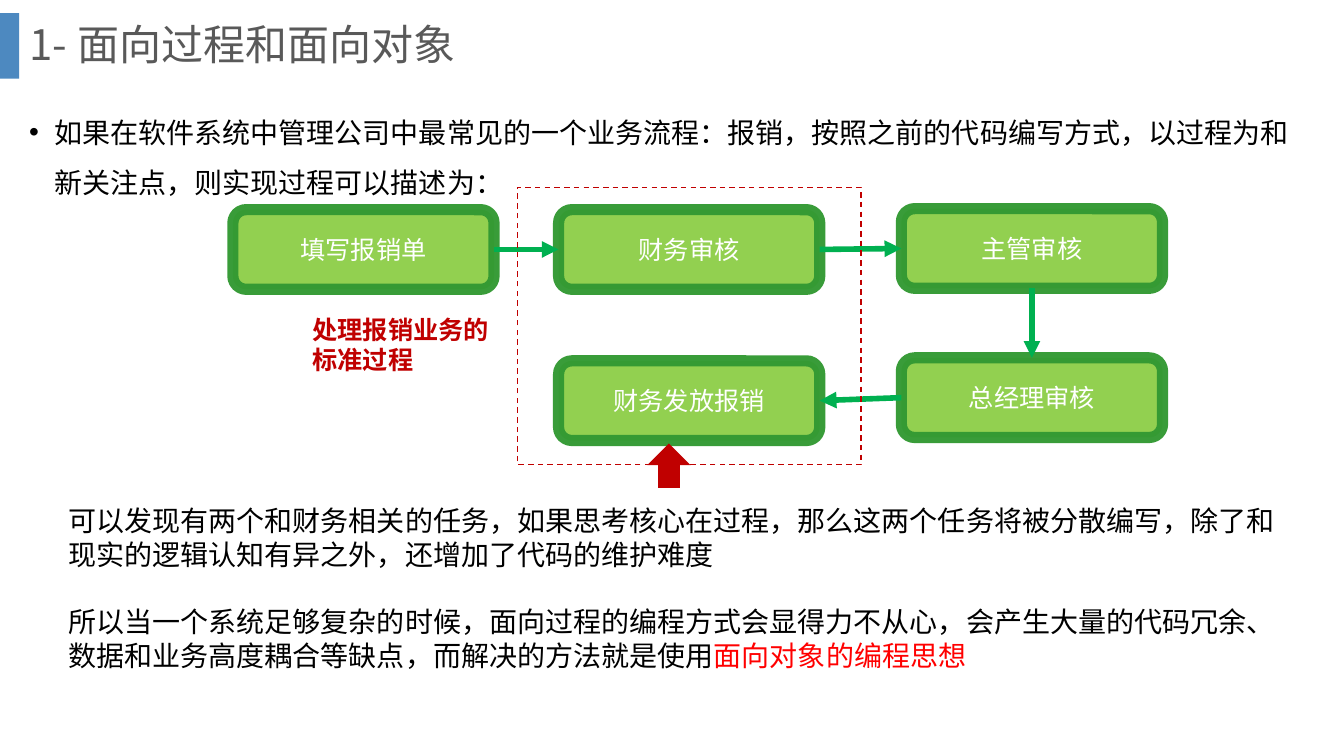
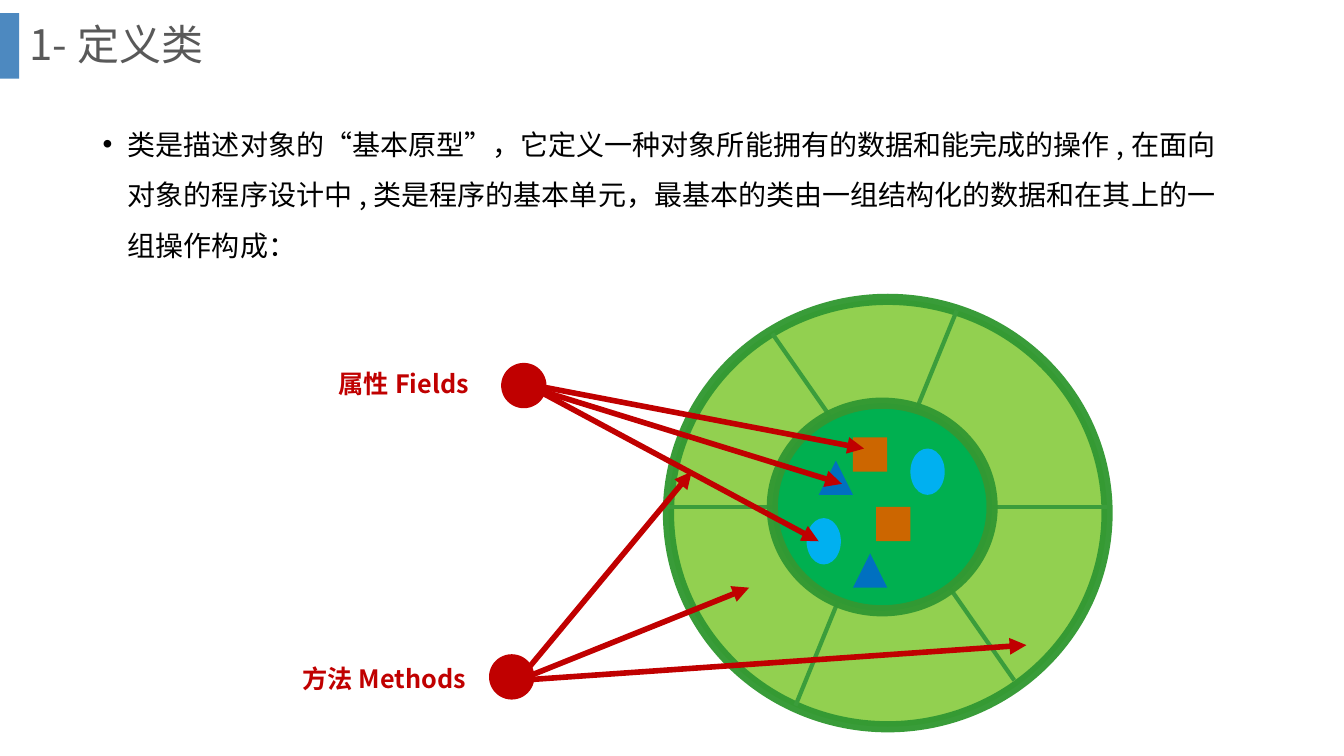
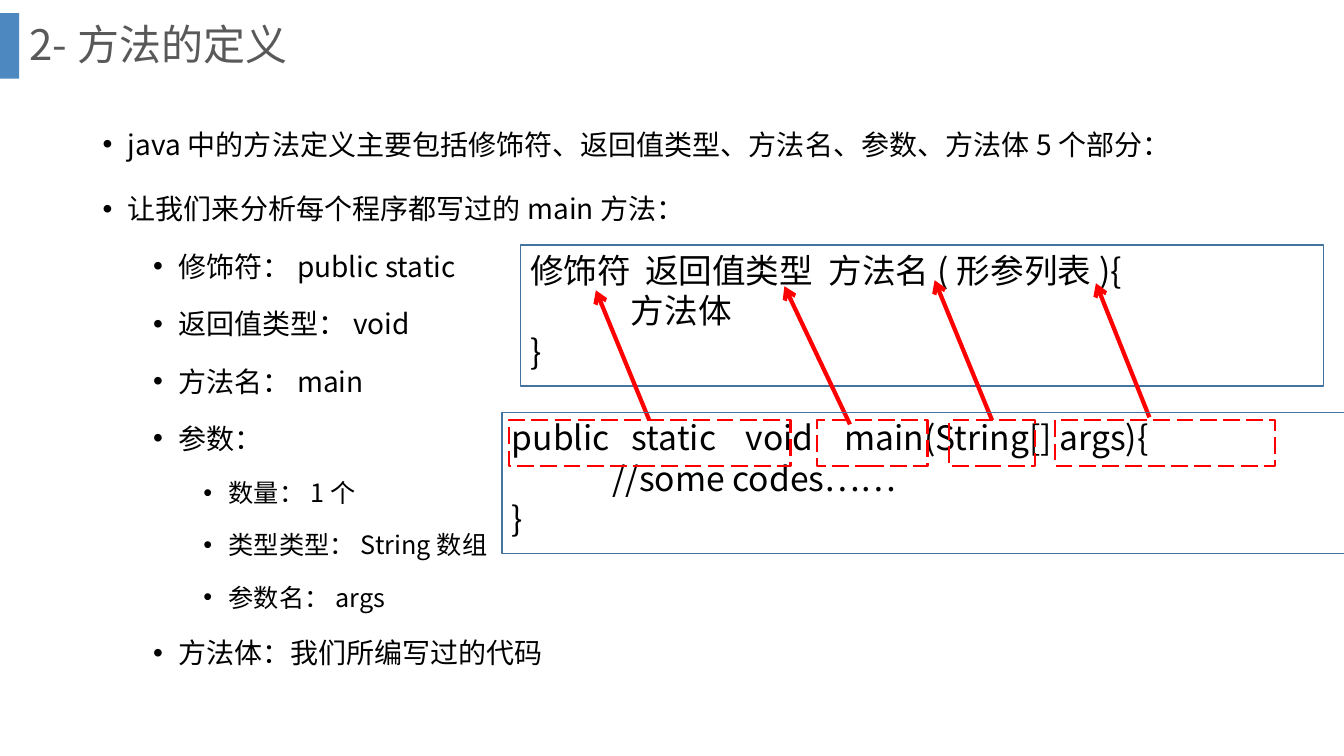
from lxml import etree
from pptx import Presentation
from pptx.dml.color import RGBColor
from pptx.enum.dml import MSO_LINE
from pptx.enum.shapes import MSO_CONNECTOR, MSO_SHAPE
from pptx.enum.text import MSO_ANCHOR, PP_ALIGN
from pptx.oxml.ns import qn
from pptx.util import Inches, Pt

RECT, ROUND, OVAL = MSO_SHAPE.RECTANGLE, MSO_SHAPE.ROUNDED_RECTANGLE, MSO_SHAPE.OVAL
TRIANGLE, UP_ARROW = MSO_SHAPE.ISOSCELES_TRIANGLE, MSO_SHAPE.UP_ARROW
STRAIGHT = MSO_CONNECTOR.STRAIGHT
DASH, LONG_DASH = MSO_LINE.DASH, MSO_LINE.LONG_DASH
TOP, MIDDLE = MSO_ANCHOR.TOP, MSO_ANCHOR.MIDDLE
LEFT, CENTER = PP_ALIGN.LEFT, PP_ALIGN.CENTER
SITE_TOP, SITE_LEFT, SITE_BOTTOM, SITE_RIGHT = range(4)

FONT = "Noto Sans CJK SC"
BLACK, WHITE, GREY, BLUE = "000000", "FFFFFF", "595959", "2E75B6"
DARK_RED, RED, BOX_BLUE = "C00000", "FF0000", "43739E"
LIME, GREEN, RIM, SPOKE = "92D050", "00B050", "339933", "3B9D3B"
ORANGE, SKY, NAVY = "CC6600", "00B0F0", "0070C0"
RIM_LINE = {"line": RIM, "width": 8, "line_alpha": 96}


def rgb(value):
    """Turn a hex string into a colour."""
    return RGBColor.from_string(value)


def sub(parent, tag, **attrs):
    """Append an XML child with attributes."""
    el = etree.SubElement(parent, qn(tag))
    for key, value in attrs.items():
        el.set(key, str(value))
    return el


def set_alpha(el, percent):
    """Set the opacity of the first colour inside an element."""
    sub(next(el.iter(qn("a:srgbClr"))), "a:alpha", val=percent * 1000)


def add_run(p, text, size, color=BLACK, bold=False):
    """Add a formatted run to a paragraph."""
    r = p.add_run()
    r.text = text
    fmt = {"name": FONT, "size": Pt(size), "bold": bold}
    for key, value in fmt.items():
        setattr(r.font, key, value)
    r.font.color.rgb = rgb(color)
    sub(r.font._element, "a:ea", typeface=FONT)


def next_paragraph(tf, first, **fmt):
    """Return a formatted paragraph, reusing the first one of the frame."""
    p = tf.paragraphs[0] if first else tf.add_paragraph()
    for key, value in fmt.items():
        setattr(p, key, value)
    return p


def add_text(s, x, y, w, h, wrap=True, anchor=TOP):
    """Add an empty text box and return its frame."""
    tf = s.shapes.add_textbox(Inches(x), Inches(y), Inches(w), Inches(h)).text_frame
    for key, value in {"word_wrap": wrap, "vertical_anchor": anchor}.items():
        setattr(tf, key, value)
    return tf


def add_shape(s, kind, x, y, w, h, fill=None, line=None, width=1, dash=None, line_alpha=None):
    """Add a preset shape with optional fill and outline."""
    sp = s.shapes.add_shape(kind, Inches(x), Inches(y), Inches(w), Inches(h))
    sp.shadow.inherit = False
    if fill:
        sp.fill.solid()
        sp.fill.fore_color.rgb = rgb(fill)
    else:
        sp.fill.background()
    if line:
        sp.line.color.rgb = rgb(line)
        sp.line.width = Pt(width)
        if dash:
            sp.line.dash_style = dash
        if line_alpha:
            set_alpha(sp.line._get_or_add_ln(), line_alpha)
    else:
        sp.line.fill.background()
    return sp


def add_line(s, start, end, color, width, head=None):
    """Add a straight line, with an arrowhead at its end if named."""
    c = s.shapes.add_connector(STRAIGHT, *[Inches(v) for v in (*start, *end)])
    c.line.color.rgb = rgb(color)
    c.line.width = Pt(width)
    if head:
        sub(c.line._get_or_add_ln(), "a:tailEnd", type=head)
    sub(c._element.spPr, "a:effectLst")
    return c


def add_slide(prs, title):
    """Add a blank slide with the blue tab and the title."""
    s = prs.slides.add_slide(prs.slide_layouts[6])
    tab = add_shape(s, RECT, 0, 0.13, 0.19, 0.65, BLUE)
    set_alpha(tab._element.spPr, 85)
    tf = add_text(s, 0.19, 0, 12.66, 0.93, anchor=MIDDLE)
    add_run(next_paragraph(tf, True, line_spacing=0.9), title, 30, GREY)
    return s


def add_bullets(s, x, y, w, h, items):
    """Add a bulleted list of (level, text) items."""
    tf = add_text(s, x, y, w, h)
    for i, (level, text) in enumerate(items):
        p = next_paragraph(tf, i == 0, line_spacing=1.5, space_before=Pt(5 if level else 10))
        pPr = p._p.get_or_add_pPr()
        pPr.set("marL", str(Inches(0.25 + 0.5 * level)))
        pPr.set("indent", str(Inches(-0.25)))
        sub(pPr, "a:buFont", typeface="Arial")
        sub(pPr, "a:buChar", char="•")
        add_run(p, text, 18 if level == 2 else 20)


def add_label(s, x, y, w, h, text, wrap=False):
    """Add a bold dark red label."""
    tf = add_text(s, x, y, w, h, wrap)
    add_run(tf.paragraphs[0], text, 18, DARK_RED, True)


def add_flow(s, x, y):
    """Draw the expense process with its top left step at x, y."""
    steps = [("填写报销单", 0, 0), ("财务审核", 3.23, 0), ("主管审核", 6.63, -0.01),
             ("总经理审核", 6.63, 1.47), ("财务发放报销", 3.23, 1.5)]
    boxes = []
    for text, dx, dy in steps:
        sp = add_shape(s, ROUND, x + dx, y + dy, 2.59, 0.79, LIME, **RIM_LINE)
        sp.text_frame.vertical_anchor = MIDDLE
        add_run(next_paragraph(sp.text_frame, True, alignment=CENTER), text, 18, WHITE)
        boxes.append(sp)
    sites = [(SITE_RIGHT, SITE_LEFT), (SITE_RIGHT, SITE_LEFT),
             (SITE_BOTTOM, SITE_TOP), (SITE_LEFT, SITE_RIGHT)]
    for a, b, (leave, enter) in zip(boxes, boxes[1:], sites):
        c = add_line(s, (x, y), (x, y), GREEN, 4, "triangle")
        c.begin_connect(a, leave)
        c.end_connect(b, enter)
    add_shape(s, RECT, x + 2.82, y - 0.22, 3.41, 2.75, line=DARK_RED, dash=DASH)
    add_shape(s, UP_ARROW, x + 4.11, y + 2.32, 0.43, 0.44, DARK_RED)
    add_label(s, x + 0.69, y + 0.99, 2.01, 0.57, "处理报销业务的标准过程", True)


def add_conclusion(s, x, y, w, h):
    """Write the two closing paragraphs."""
    tf = add_text(s, x, y, w, h)
    add_run(tf.paragraphs[0], "可以发现有两个和财务相关的任务，如果思考核心在过程，那么这两个任务将被分散编写，"
            "除了和现实的逻辑认知有异之外，还增加了代码的维护难度", 20)
    p = next_paragraph(tf, False, space_before=Pt(24))
    add_run(p, "所以当一个系统足够复杂的时候，面向过程的编程方式会显得力不从心，会产生大量的代码冗余、"
            "数据和业务高度耦合等缺点，而解决的方法就是使用", 20)
    add_run(p, "面向对象的编程思想", 20, RED)


def add_wheel(s, x, y):
    """Draw the class as a wheel of methods around a core of fields."""
    add_shape(s, OVAL, x, y, 4.35, 4.24, LIME, **RIM_LINE)
    for x1, y1, x2, y2 in [(1.03, 0.34, 3.43, 3.78), (2.86, 0.11, 1.26, 4.03), (0, 2.06, 4.35, 2.06)]:
        add_line(s, (x + x1, y + y1), (x + x2, y + y2), SPOKE, 3)
    core_x, core_y = x + 1.03, y + 1.03
    add_shape(s, OVAL, core_x, core_y, 2.18, 2.06, GREEN, **RIM_LINE)
    fields = [(RECT, 0.34, ORANGE, [(0.8, 0.34), (1.03, 1.03)]),
              (OVAL, 0.46, SKY, [(0.34, 1.14), (1.37, 0.45)]),
              (TRIANGLE, 0.34, NAVY, [(0.46, 0.57), (0.8, 1.49)])]
    for kind, h, color, spots in fields:
        for dx, dy in spots:
            add_shape(s, kind, core_x + dx, core_y + dy, 0.34, h, color)


def add_pointer(s, x, y, label, label_box, rays):
    """Draw a dot at x, y with its label and arrows of (start offset, end)."""
    dx, dy, w = label_box
    add_label(s, x + dx, y + dy, w, 0.4, label)
    for (sx, sy), end in rays:
        add_line(s, (x + sx, y + sy), end, DARK_RED, 4, "triangle")
    add_shape(s, OVAL, x, y, 0.45, 0.45, DARK_RED)


def add_code(s, x, y, w, head, stops, body):
    """Draw a framed method whose head line is spaced by tab stops."""
    sp = add_shape(s, RECT, x, y, w, 1.4, line=BOX_BLUE)
    tf = sp.text_frame
    tf.vertical_anchor = TOP
    for i, text in enumerate([head, body, "}"]):
        p = next_paragraph(tf, i == 0, alignment=LEFT)
        pPr = p._p.get_or_add_pPr()
        if i == 0:
            tabs = sub(pPr, "a:tabLst")
            for stop in stops:
                sub(tabs, "a:tab", pos=Inches(stop), algn="l")
        if i == 1:
            pPr.set("marL", str(Inches(1)))
        add_run(p, text, 24)


def add_method(s, x, y):
    """Draw the method pattern and, below it, main with its matching parts."""
    add_code(s, x + 0.18, y, 7.97, "修饰符\t返回值类型\t方法名(形参列表){", [1.14, 2.96], "方法体")
    arrows = [(1.46, 1.74, 0.93, 0.45), (3.45, 1.78, 2.8, 0.41),
              (4.86, 1.74, 4.29, 0.35), (6.42, 1.71, 5.89, 0.38)]
    for x1, y1, x2, y2 in arrows:
        add_line(s, (x + x1, y + y1), (x + x2, y + y2), RED, 3, "arrow")
    add_code(s, x, y + 1.66, 8.36, "public\tstatic\tvoid\tmain(String[] args){",
             [1.19, 2.32, 3.3], "//some codes……")
    for dx, w in [(0.07, 2.79), (3.12, 1.1), (4.43, 0.86), (5.48, 2.19)]:
        add_shape(s, RECT, x + dx, y + 1.74, w, 0.45, line=RED, width=1.5, dash=LONG_DASH)


def process_slide(prs):
    """Build the slide on procedural thinking."""
    s = add_slide(prs, "1-面向过程和面向对象")
    add_bullets(s, 0.19, 0.93, 12.91, 5.99, [
        (0, "如果在软件系统中管理公司中最常见的一个业务流程：报销，按照之前的代码编写方式，"
            "以过程为和新关注点，则实现过程可以描述为：")])
    add_conclusion(s, 0.58, 4.95, 12.18, 1.78)
    add_flow(s, 2.31, 2.08)


def class_slide(prs):
    """Build the slide on defining a class."""
    s = add_slide(prs, "1-定义类")
    add_bullets(s, 0.92, 1.05, 11.5, 6.16, [
        (0, "类是描述对象的“基本原型”，它定义一种对象所能拥有的数据和能完成的操作,"
            "在面向对象的程序设计中,类是程序的基本单元，最基本的类由一组结构化的数据和在其上的一组操作构成：")])
    add_wheel(s, 6.63, 2.97)
    add_pointer(s, 4.97, 3.6, "属性Fields", (-1.71, 0.01, 1.51), [
        ((0.05, 0.17), (8.57, 4.45)), ((0.05, 0.17), (8.35, 4.8)), ((0.17, 0.17), (8.12, 5.37))])
    add_pointer(s, 4.85, 6.49, "方法Methods", (-1.95, 0.04, 1.84), [
        ((0.29, 0.26), end) for end in [(6.86, 4.68), (10.18, 6.4), (7.43, 5.83)]])


def method_slide(prs):
    """Build the slide on defining a method."""
    s = add_slide(prs, "2-方法的定义")
    add_bullets(s, 0.92, 1.05, 11.5, 6.16, [
        (0, "java中的方法定义主要包括修饰符、返回值类型、方法名、参数、方法体5个部分："),
        (0, "让我们来分析每个程序都写过的main方法："),
        (1, "修饰符：public static"),
        (1, "返回值类型：void"),
        (1, "方法名：main"),
        (1, "参数："),
        (2, "数量：1个"),
        (2, "类型类型：String数组"),
        (2, "参数名：args"),
        (1, "方法体：我们所编写过的代码")])
    add_method(s, 4.98, 2.43)


def main():
    """Build and save the presentation."""
    prs = Presentation()
    prs.slide_width, prs.slide_height = Inches(13.33), Inches(7.5)
    for build in (process_slide, class_slide, method_slide):
        build(prs)
    prs.save("out.pptx")


if __name__ == "__main__":
    main()
